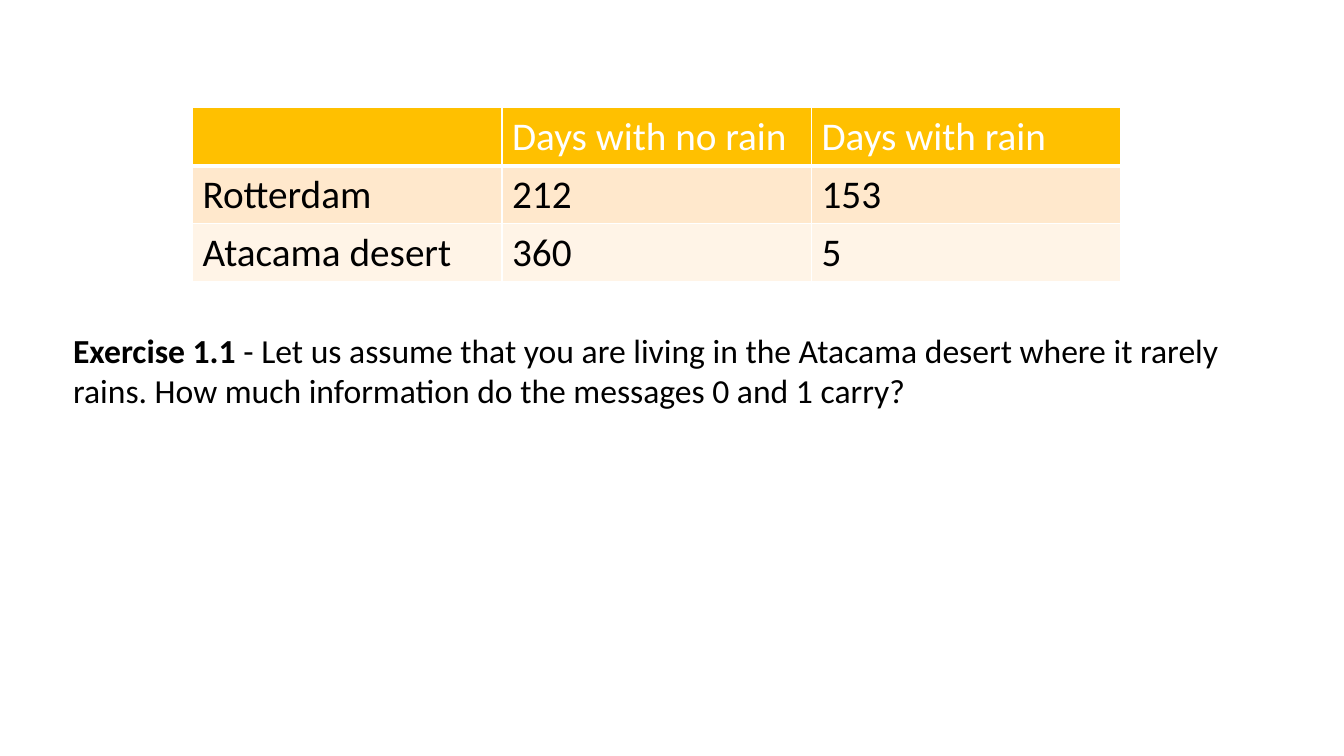
import pptx
import pptx.dml.color
import pptx.enum.text
import pptx.oxml
import pptx.oxml.ns
import pptx.util

theme = {
    "font": "Calibri",
    "table_size": 28,
    "exercise_size": 24,
    "text": "000000",
    "header_text": "FFFFFF",
    "border": "FFFFFF",
    "row_fills": ["FFC000", "FFE8CC", "FFF4E7"],
}


def format_font(font, size, color, bold=False):
    values = {
        "name": theme["font"],
        "size": pptx.util.Pt(size),
        "bold": bold,
    }
    for attribute, value in values.items():
        setattr(font, attribute, value)
    font.color.rgb = pptx.dml.color.RGBColor.from_string(color)


def add_border(cell, side, width):
    cell._tc.get_or_add_tcPr().append(pptx.oxml.parse_xml(
        f'<a:ln{side} {pptx.oxml.ns.nsdecls("a")} w="{pptx.util.Pt(width)}">'
        f'<a:solidFill><a:srgbClr val="{theme["border"]}"/></a:solidFill>'
        f'</a:ln{side}>'
    ))


presentation = pptx.Presentation()
presentation.slide_width = pptx.util.Inches(13.33)
presentation.slide_height = pptx.util.Inches(7.5)
width, height = presentation.slide_width, presentation.slide_height
slide = presentation.slides.add_slide(presentation.slide_layouts[6])

rain_days = [
    ["", "Days with no rain", "Days with rain"],
    ["Rotterdam", "212", "153"],
    ["Atacama desert", "360", "5"],
]
column_width = pptx.util.Inches(3.07)
row_height = pptx.util.Inches(0.57)
table = slide.shapes.add_table(
    len(rain_days), len(rain_days[0]),
    pptx.util.Inches(1.91), pptx.util.Inches(1.07),
    column_width * len(rain_days[0]), row_height * len(rain_days),
).table
for column in table.columns:
    column.width = column_width

for row_index, row_values in enumerate(rain_days):
    table.rows[row_index].height = row_height
    is_header = row_index == 0
    color = theme["header_text"] if is_header else theme["text"]
    for column_index, value in enumerate(row_values):
        cell = table.cell(row_index, column_index)
        for side in "LRTB":
            add_border(cell, side, 3 if is_header and side == "B" else 1)
        cell.fill.solid()
        cell.fill.fore_color.rgb = pptx.dml.color.RGBColor.from_string(
            theme["row_fills"][row_index])
        paragraph = cell.text_frame.paragraphs[0]
        if value:
            run = paragraph.add_run()
            run.text = value
            format_font(run.font, theme["table_size"], color)

exercise = slide.shapes.add_textbox(
    int(width * 0.047), int(height * 0.43), int(width * 0.908), int(height * 0.12))
exercise.text_frame.word_wrap = True
exercise.text_frame.auto_size = pptx.enum.text.MSO_AUTO_SIZE.SHAPE_TO_FIT_TEXT
paragraph = exercise.text_frame.paragraphs[0]
exercise_runs = [
    ("Exercise 1.1 ", True),
    ("- Let us assume that you are living in the Atacama desert where it rarely "
     "rains. How much information do the messages 0 and 1 carry?", False),
]
for text, bold in exercise_runs:
    run = paragraph.add_run()
    run.text = text
    format_font(run.font, theme["exercise_size"], theme["text"], bold)

presentation.save("out.pptx")
